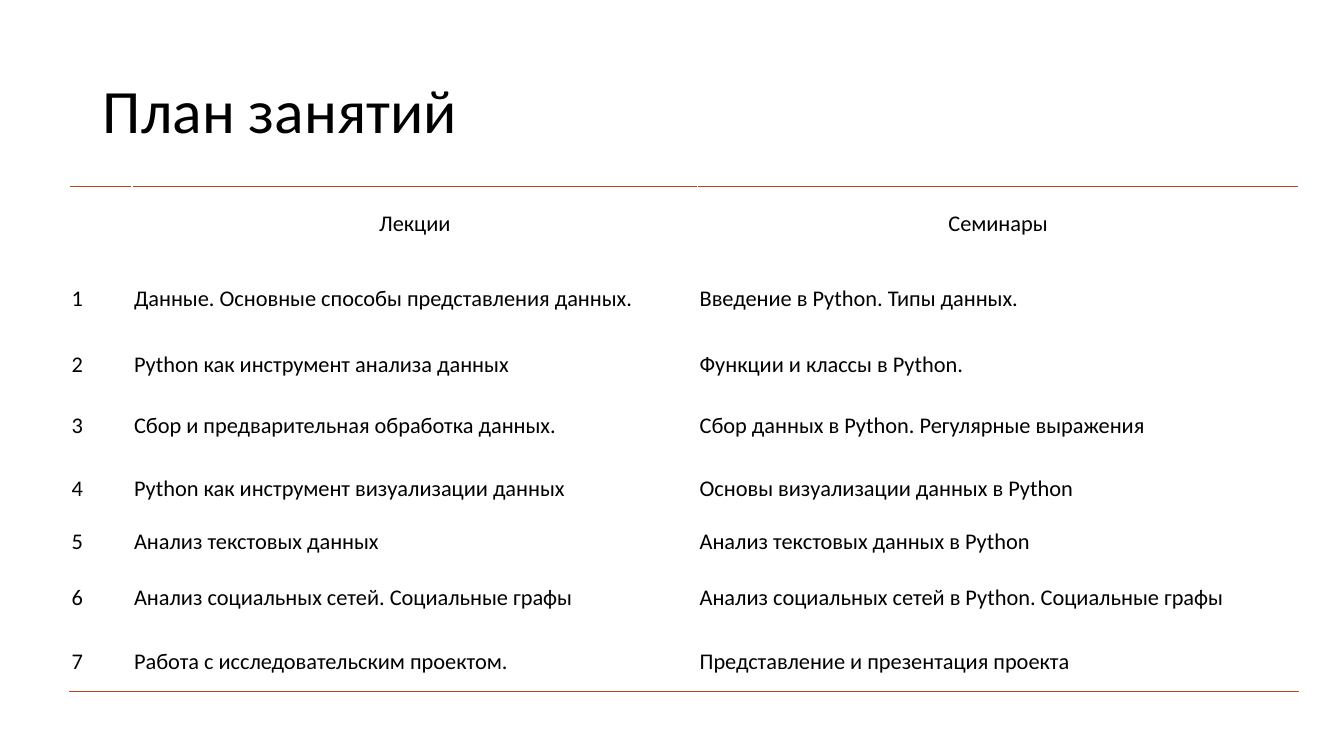
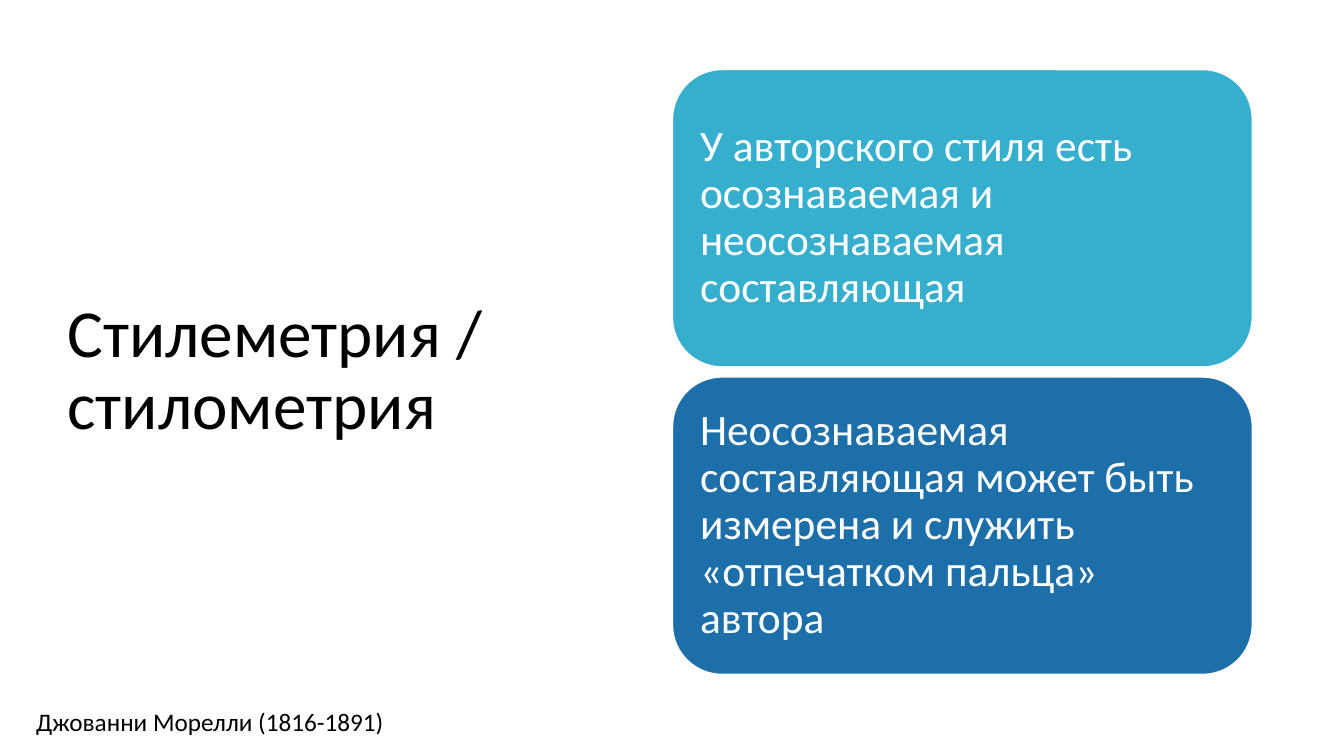
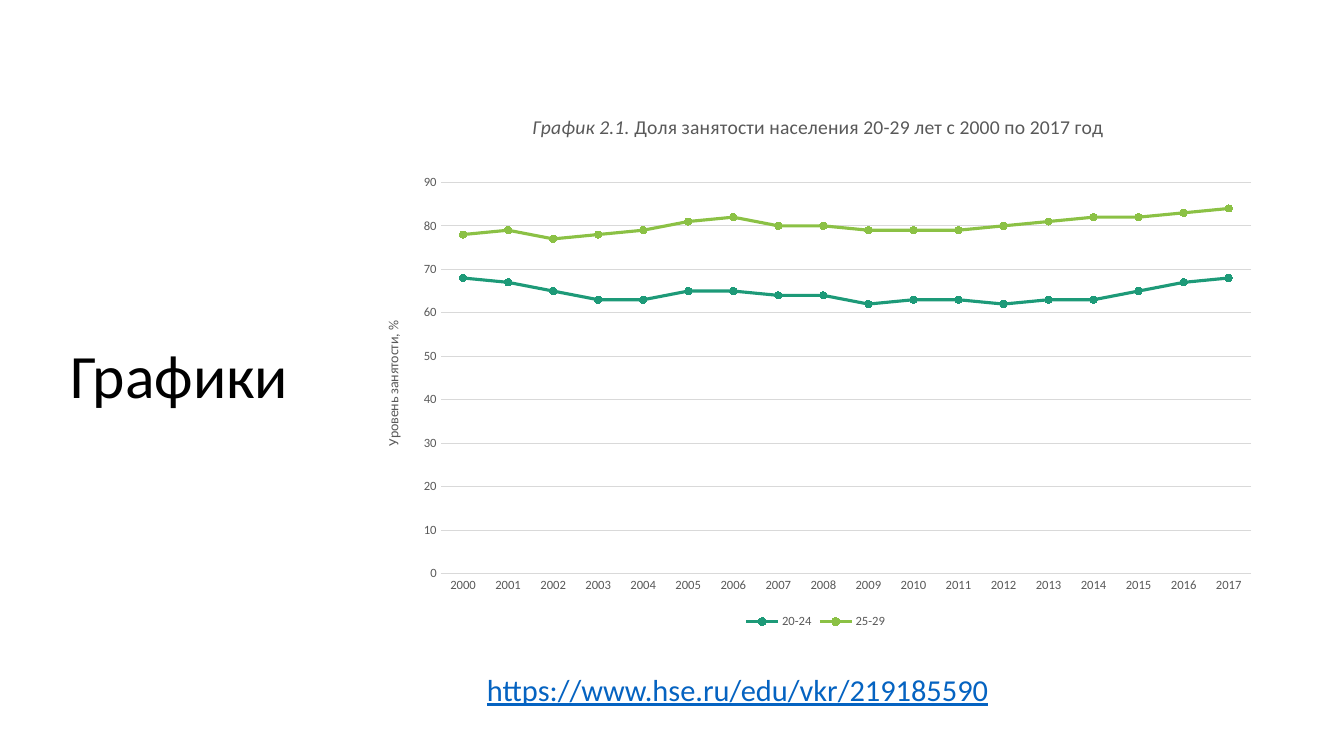
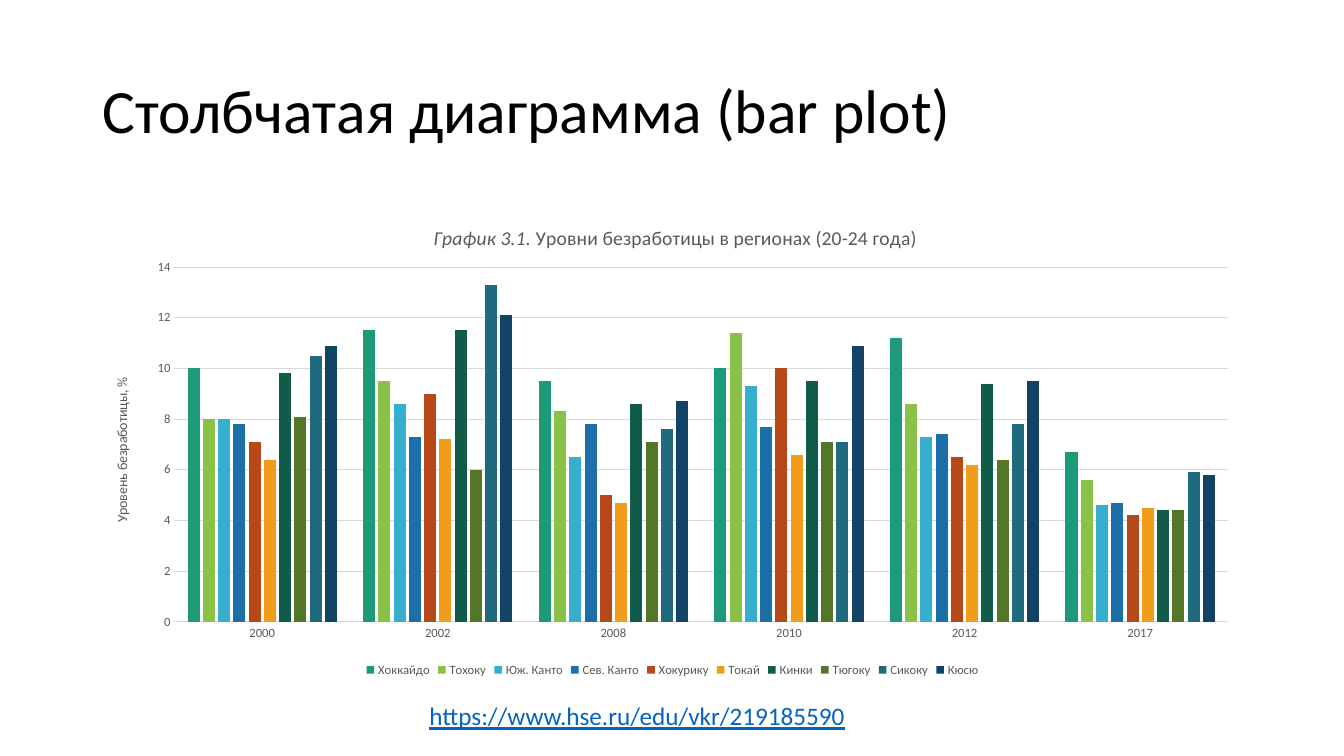
from pptx import Presentation, oxml
from pptx.chart import data
from pptx.dml import color as dml
from pptx.enum import chart as charts, shapes, text
from pptx.oxml import ns
from pptx.util import Inches, Pt

FONT = "Calibri"
COLORS = {
    "black": "000000", "white": "FFFFFF", "gray": "595959", "grid": "D9D9D9",
    "link": "0563C1", "teal": "1D9A78", "green": "8BC145", "sky": "36AFCE",
    "blue": "1D6FA9", "rust": "B74919", "orange": "F19D19", "pine": "115C48",
    "olive": "547627", "lagoon": "1F6A7D", "navy": "114365",
}
SERIES = ["teal", "green", "sky", "blue", "rust", "orange", "pine", "olive", "lagoon", "navy"]
LINK = "https://www.hse.ru/edu/vkr/219185590"
MIDDLE = text.MSO_ANCHOR.MIDDLE


def rgb(name):
    return dml.RGBColor.from_string(COLORS[name])


def style_font(font, size, color="black", italic=None, underline=None):
    font.name, font.size, font.bold = FONT, Pt(size), False
    font.italic, font.underline = italic, underline
    font.color.rgb = rgb(color)


def write(tf, content, align=text.PP_ALIGN.LEFT, spacing=None, **fmt):
    p = tf.paragraphs[0]
    p.alignment, p.line_spacing = align, spacing
    r = p.add_run()
    r.text = content
    style_font(r.font, **fmt)


def place(shape, box):
    shape.left, shape.top, shape.width, shape.height = map(Inches, box)


def set_layout(parent, index, **values):
    old = parent.find(ns.qn("c:layout"))
    if old is not None:
        parent.remove(old)
    layout = oxml.parse_xml(f'<c:layout {ns.nsdecls("c")}><c:manualLayout/></c:layout>')
    for tag, val in values.items():
        item = oxml.parse_xml(f'<c:{tag} {ns.nsdecls("c")} val="{val}"/>')
        layout[0].append(item)
    parent.insert(index, layout)


class Deck:
    def __init__(self):
        self.prs = Presentation()
        self.prs.slide_width, self.prs.slide_height = Inches(13.33), Inches(7.5)
        self.s = None

    def slide(self, title, box=(0.92, 0.4, 11.5, 1.45), size=44, layout=5):
        self.s = self.prs.slides.add_slide(self.prs.slide_layouts[layout])
        sp = self.s.shapes.title
        place(sp, box)
        tf = sp.text_frame
        tf.auto_size, tf.vertical_anchor = text.MSO_AUTO_SIZE.NONE, MIDDLE
        write(tf, title, spacing=0.9, size=size)

    def body(self, content, box, **fmt):
        sp = self.s.placeholders[1]
        place(sp, box)
        tf = sp.text_frame
        tf.auto_size = text.MSO_AUTO_SIZE.NONE
        pPr = tf.paragraphs[0]._p.get_or_add_pPr()
        pPr.set("marL", "0")
        pPr.set("indent", "0")
        pPr.append(oxml.parse_xml(f'<a:buNone {ns.nsdecls("a")}/>'))
        tf.paragraphs[0].space_before = Pt(0)
        write(tf, content, **fmt)

    def textbox(self, content, box, **fmt):
        tf = self.s.shapes.add_textbox(*map(Inches, box)).text_frame
        tf.word_wrap = True
        write(tf, content, **fmt)

    def card(self, content, box, fill):
        sp = self.s.shapes.add_shape(shapes.MSO_SHAPE.ROUNDED_RECTANGLE, *map(Inches, box))
        sp.shadow.inherit = False
        sp.fill.solid()
        sp.fill.fore_color.rgb = rgb(fill)
        sp.line.color.rgb, sp.line.width = rgb("white"), Pt(1)
        tf = sp.text_frame
        tf.word_wrap, tf.vertical_anchor = True, MIDDLE
        tf.margin_left = tf.margin_right = tf.margin_top = tf.margin_bottom = Inches(0.13)
        write(tf, content, spacing=0.9, size=31, color="white")

    def border(self, cell, side):
        cell._tc.get_or_add_tcPr().insert(0, oxml.parse_xml(
            f'<a:{side} {ns.nsdecls("a")} w="{Pt(1)}"><a:solidFill>'
            f'<a:srgbClr val="{COLORS["rust"]}"/></a:solidFill></a:{side}>'))

    def table(self, rows, box, widths, heights):
        table = self.s.shapes.add_table(len(rows), len(widths), *map(Inches, box)).table
        table.first_row = table.horz_banding = False
        for column, width in zip(table.columns, widths):
            column.width = Inches(width)
        for i, (values, height) in enumerate(zip(rows, heights)):
            table.rows[i].height = Inches(height)
            for cell, value in zip(table.rows[i].cells, values):
                cell.fill.background()
                cell.vertical_anchor = MIDDLE
                cell.margin_left = cell.margin_right = Inches(0.02)
                cell.margin_top = cell.margin_bottom = Inches(0.02)
                if value:
                    align = text.PP_ALIGN.LEFT if i else text.PP_ALIGN.CENTER
                    write(cell.text_frame, value, align=align, size=16)
                if i == 0:
                    self.border(cell, "lnT")
                if i == len(rows) - 1:
                    self.border(cell, "lnB")

    def chart(self, kind, box, plot, title_at, title, axis_title, cats, series):
        cd = data.CategoryChartData()
        cd.categories = cats
        for name, values in series.items():
            cd.add_series(name, values)
        chart = self.s.shapes.add_chart(kind, *map(Inches, box), cd).chart
        style_font(chart.font, 10)
        chart.has_legend = True
        chart.legend.position = charts.XL_LEGEND_POSITION.BOTTOM
        chart.legend.include_in_layout = False
        style_font(chart.legend.font, 9, "gray")

        chart.has_title = True
        tf = chart.chart_title.text_frame
        for part, italic in zip(title, (True, False)):
            write(tf, part, align=text.PP_ALIGN.CENTER, size=14, color="gray", italic=italic)
        left, top, width, height = box
        set_layout(chart.chart_title._element, 1, xMode="edge", yMode="edge",
                   x=(title_at[0] - left) / width, y=(title_at[1] - top) / height)
        set_layout(chart._chartSpace.chart.plotArea, 0, layoutTarget="inner",
                   xMode="edge", yMode="edge",
                   x=(plot[0] - left) / width, y=(plot[1] - top) / height,
                   w=plot[2] / width, h=plot[3] / height)

        cat, val = chart.category_axis, chart.value_axis
        for axis in (cat, val):
            axis.major_tick_mark = axis.minor_tick_mark = charts.XL_TICK_MARK.NONE
            style_font(axis.tick_labels.font, 9, "gray")
        val.has_major_gridlines = True
        val.format.line.fill.background()
        for line in (cat.format.line, val.major_gridlines.format.line):
            line.color.rgb, line.width = rgb("grid"), Pt(0.75)
        val.has_title = True
        write(val.axis_title.text_frame, axis_title, align=text.PP_ALIGN.CENTER,
              size=10, color="gray")
        bodyPr = val.axis_title._element.find(".//" + ns.qn("a:bodyPr"))
        bodyPr.set("rot", "-5400000")
        bodyPr.set("vert", "horz")

        plot_area = chart.plots[0]
        plot_area.vary_by_categories = False
        if kind == charts.XL_CHART_TYPE.COLUMN_CLUSTERED:
            plot_area.gap_width, plot_area.overlap = 219, -27
        for item, name in zip(plot_area.series, SERIES):
            fill = item.format.fill
            if kind == charts.XL_CHART_TYPE.LINE_MARKERS:
                item.smooth = False
                item.format.line.color.rgb, item.format.line.width = rgb(name), Pt(2.25)
                item.marker.style, item.marker.size = charts.XL_MARKER_STYLE.CIRCLE, 5
                item.marker.format.line.color.rgb = rgb(name)
                fill = item.marker.format.fill
            fill.solid()
            fill.fore_color.rgb = rgb(name)


def main():
    deck = Deck()

    deck.slide("План занятий")
    topics = [
        ("Данные. Основные способы представления данных.", "Введение в Python. Типы данных."),
        ("Python как инструмент анализа данных", "Функции и классы в Python."),
        ("Сбор и предварительная обработка данных.", "Сбор данных в Python. Регулярные выражения"),
        ("Python как инструмент визуализации данных", "Основы визуализации данных в Python"),
        ("Анализ текстовых данных", "Анализ текстовых данных в Python"),
        ("Анализ социальных сетей. Социальные графы",
         "Анализ социальных сетей в Python. Социальные графы"),
        ("Работа с исследовательским проектом.", "Представление и презентация проекта"),
    ]
    rows = [("", "Лекции", "Семинары")]
    rows += [(str(n), *topic) for n, topic in enumerate(topics, 1)]
    deck.table(rows, (0.69, 1.85, 12.19, 5.01), (0.62, 5.61, 5.96),
               (0.74, 0.74, 0.58, 0.63, 0.63, 0.42, 0.69, 0.58))

    deck.slide("Стилеметрия / стилометрия", (0.57, 0.68, 5.67, 6.02), 48)
    cards = [
        ("У авторского стиля есть осознаваемая и неосознаваемая составляющая", "sky"),
        ("Неосознаваемая составляющая может быть измерена и служить "
         "«отпечатком пальца» автора", "blue"),
    ]
    for i, (content, fill) in enumerate(cards):
        deck.card(content, (6.67, 0.69 + 3.05 * i, 5.75, 2.95), fill)
    deck.textbox("Джованни Морелли (1816-1891)", (0.26, 6.96, 5.15, 0.4), size=18)

    deck.slide("Графики", (0.6, 3.03, 11.5, 1.45), layout=1)
    deck.body(LINK, (4.73, 6.71, 7.14, 0.38), spacing=0.7, size=21.7, color="link", underline=True)
    deck.chart(
        charts.XL_CHART_TYPE.LINE_MARKERS, (3.59, 0.89, 9, 5.39), (4.37, 1.81, 8.04, 3.88),
        (5.25, 1.1), ("График 2.1.", " Доля занятости населения 20-29 лет с 2000 по 2017 год"),
        "Уровень занятости, %", [str(year) for year in range(2000, 2018)],
        {"20-24": (68, 67, 65, 63, 63, 65, 65, 64, 64, 62, 63, 63, 62, 63, 63, 65, 67, 68),
         "25-29": (78, 79, 77, 78, 79, 81, 82, 80, 80, 79, 79, 79, 80, 81, 82, 82, 83, 84)})

    deck.slide("Столбчатая диаграмма (bar plot)")
    deck.chart(
        charts.XL_CHART_TYPE.COLUMN_CLUSTERED, (0.92, 2, 11.5, 4.76), (1.73, 2.65, 10.45, 3.52),
        (4.27, 2.2), ("График 3.1.", " Уровни безработицы в регионах (20-24 года)"),
        "Уровень безработицы, %", ["2000", "2002", "2008", "2010", "2012", "2017"],
        {"Хоккайдо": (10, 11.5, 9.5, 10, 11.2, 6.7),
         "Тохоку": (8, 9.5, 8.3, 11.4, 8.6, 5.6),
         "Юж. Канто": (8, 8.6, 6.5, 9.3, 7.3, 4.6),
         "Сев. Канто": (7.8, 7.3, 7.8, 7.7, 7.4, 4.7),
         "Хокурику": (7.1, 9, 5, 10, 6.5, 4.2),
         "Токай": (6.4, 7.2, 4.7, 6.6, 6.2, 4.5),
         "Кинки": (9.8, 11.5, 8.6, 9.5, 9.4, 4.4),
         "Тюгоку": (8.1, 6, 7.1, 7.1, 6.4, 4.4),
         "Сикоку": (10.5, 13.3, 7.6, 7.1, 7.8, 5.9),
         "Кюсю": (10.9, 12.1, 8.7, 10.9, 9.5, 5.8)})
    deck.textbox(LINK, (4.16, 6.9, 6.67, 0.4), size=18, color="link", underline=True)

    deck.prs.save("out.pptx")


if __name__ == "__main__":
    main()
